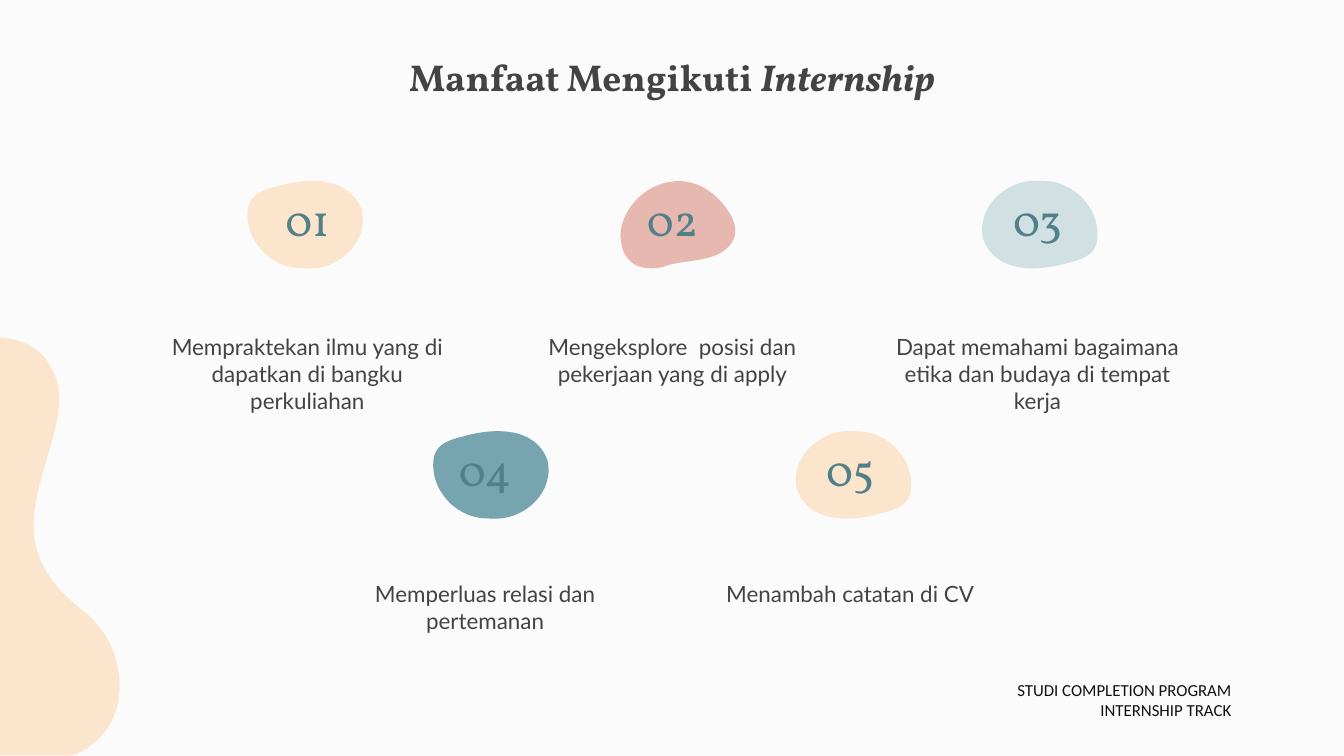
from lxml import etree
from pptx import Presentation
from pptx.dml.color import RGBColor
from pptx.enum.text import MSO_ANCHOR as Anchor, MSO_AUTO_SIZE as AutoSize, PP_ALIGN as Align
from pptx.oxml.ns import qn
from pptx.util import Cm, Pt

INK, TEAL, BLACK = "434343", "518088", "111111"
PEACH, ROSE, MIST, SEA = "FCE5CD", "E6B8AF", "D0E0E3", "76A5AF"

# Outlines in hundredths of an inch: a start point, then cubic curves
# (two control points and an end point) or single points for straight lines
UNIT = 0.0254
PEBBLE_SIZE = (85, 65)
PEBBLE = [(48, 0), (41, 0, 32, 1, 22, 4), (9, 7, 1, 11, 0, 22),
          (-1, 33, 3, 45, 14, 55), (24, 63, 32, 65, 42, 65),
          (44, 65, 47, 65, 49, 65), (69, 64, 90, 45, 85, 22),
          (82, 13, 73, 0, 48, 0)]
BEAN = [(43, 0), (41, 0, 38, 1, 36, 1), (19, 4, 4, 19, 1, 36),
        (1, 38, 0, 41, 1, 43), (1, 54, 8, 65, 23, 65),
        (26, 65, 30, 65, 35, 63), (51, 58, 77, 61, 85, 43),
        (89, 34, 82, 21, 71, 11), (62, 3, 52, 0, 43, 0)]
WAVE = [(0, 311), (54, 311), (78, 302, 89, 281, 89, 259),
        (89, 239, 80, 219, 65, 206), (42, 188, 25, 169, 25, 140),
        (25, 133, 26, 124, 28, 115), (36, 84, 44, 64, 44, 47),
        (44, 39, 43, 32, 39, 24), (28, 0, 0, 0, 0, 0)]


def turned(outline):
    """Turn a pebble outline by half a circle."""
    w, h = PEBBLE_SIZE
    return [tuple((h if i % 2 else w) - v for i, v in enumerate(seg)) for seg in outline]


# Each row: left, blob top, text top (cm), then its benefits as
# number, text, outline, colour, blob offset in the column (cm)
ROWS = [
    (2.75, 3.42, 6.05, [
        ("01", "Mempraktekan ilmu yang di dapatkan di bangku perkuliahan", PEBBLE, PEACH, 1.93),
        ("02", "Mengeksplore  posisi dan pekerjaan yang di apply", BEAN, ROSE, 2.06),
        ("03", "Dapat memahami bagaimana etika dan budaya di tempat kerja",
         turned(PEBBLE), MIST, 2.03),
    ]),
    (6.11, 8.15, 10.72, [
        ("04", "Memperluas relasi dan pertemanan", PEBBLE, SEA, 2.08),
        ("05", "Menambah catatan di CV", turned(PEBBLE), PEACH, 2.05),
    ]),
]
PITCH, COLUMN_W = 6.9, 6.12


def rgb(value):
    return RGBColor.from_string(value)


def bend(sp, outline):
    """Join the line segments of each curve into one cubic segment."""
    lines = list(sp.element.iter(qn("a:lnTo")))
    for seg in outline[1:]:
        count = len(seg) // 2
        part, lines = lines[:count], lines[count:]
        if count == 3:
            curve = etree.Element(qn("a:cubicBezTo"))
            part[0].addprevious(curve)
            for line in part:
                curve.append(line[0])
                line.getparent().remove(line)


def add_blob(s, left, top, outline, color):
    points = [(Cm(left + seg[i] * UNIT), Cm(top + seg[i + 1] * UNIT))
              for seg in outline for i in range(0, len(seg), 2)]
    builder = s.shapes.build_freeform(*points[0])
    builder.add_line_segments(points[1:], close=True)
    sp = builder.convert_to_shape()
    bend(sp, outline)
    sp.shadow.inherit = False
    sp.fill.solid()
    sp.fill.fore_color.rgb = rgb(color)
    sp.line.fill.background()


def add_text(s, box, paragraphs, font, size, color, align=Align.CENTER,
             insets=(0.25, 0.25, 0.25, 0.25), anchor=Anchor.TOP, after=0):
    """Each paragraph is a list of (text, bold, italic) runs."""
    sp = s.shapes.add_textbox(*map(Cm, box))
    tf = sp.text_frame
    tf.word_wrap = True
    tf.auto_size = AutoSize.NONE
    tf.vertical_anchor = anchor
    tf.margin_left, tf.margin_top, tf.margin_right, tf.margin_bottom = map(Cm, insets)
    for i, runs in enumerate(paragraphs):
        p = tf.paragraphs[0] if i == 0 else tf.add_paragraph()
        p.alignment = align
        p.space_after = Pt(after)
        for text, bold, italic in runs:
            r = p.add_run()
            r.text = text
            r.font.name, r.font.size = font, Pt(size)
            r.font.bold, r.font.italic = bold, italic
            r.font.color.rgb = rgb(color)


def add_title(s, box):
    runs = [("Manfaat Mengikuti ", True, False), ("Internship", True, True)]
    add_text(s, box, [runs], "Vollkorn", 20, INK)


def add_benefit(s, left, top, text_top, benefit):
    number, text, outline, color, offset = benefit
    add_blob(s, left + offset, top, outline, color)
    add_text(s, (left + 0.89, top + 0.25, 4.34, 1.12), [[(number, False, False)]],
             "Vollkorn", 24, TEAL, insets=(0.25, 0, 0.25, 0.2), anchor=Anchor.MIDDLE)
    add_text(s, (left, text_top, COLUMN_W, 1.6), [[(text, False, False)]],
             "Lato", 12, INK, after=16)


def add_footer(s, box):
    lines = ["STUDI COMPLETION PROGRAM", "INTERNSHIP TRACK"]
    add_text(s, box, [[(line, False, False)] for line in lines], "Calibri", 9, BLACK,
             align=Align.RIGHT, insets=(0.25, 0.13, 0.25, 0.13))


def main():
    prs = Presentation()
    prs.slide_width, prs.slide_height = Cm(25.4), Cm(14.29)
    s = prs.slides.add_slide(prs.slide_layouts[6])
    s.background.fill.solid()
    s.background.fill.fore_color.rgb = rgb("FBFBFB")

    # Wave on the left edge
    add_blob(s, 0, 6.38, WAVE, PEACH)
    add_title(s, (2, 0.77, 21.4, 1.6))
    # Numbered benefits
    for left, top, text_top, benefits in ROWS:
        for i, benefit in enumerate(benefits):
            add_benefit(s, left + i * PITCH, top, text_top, benefit)
    add_footer(s, (17.73, 12.72, 5.79, 1.02))
    prs.save("out.pptx")


if __name__ == "__main__":
    main()
